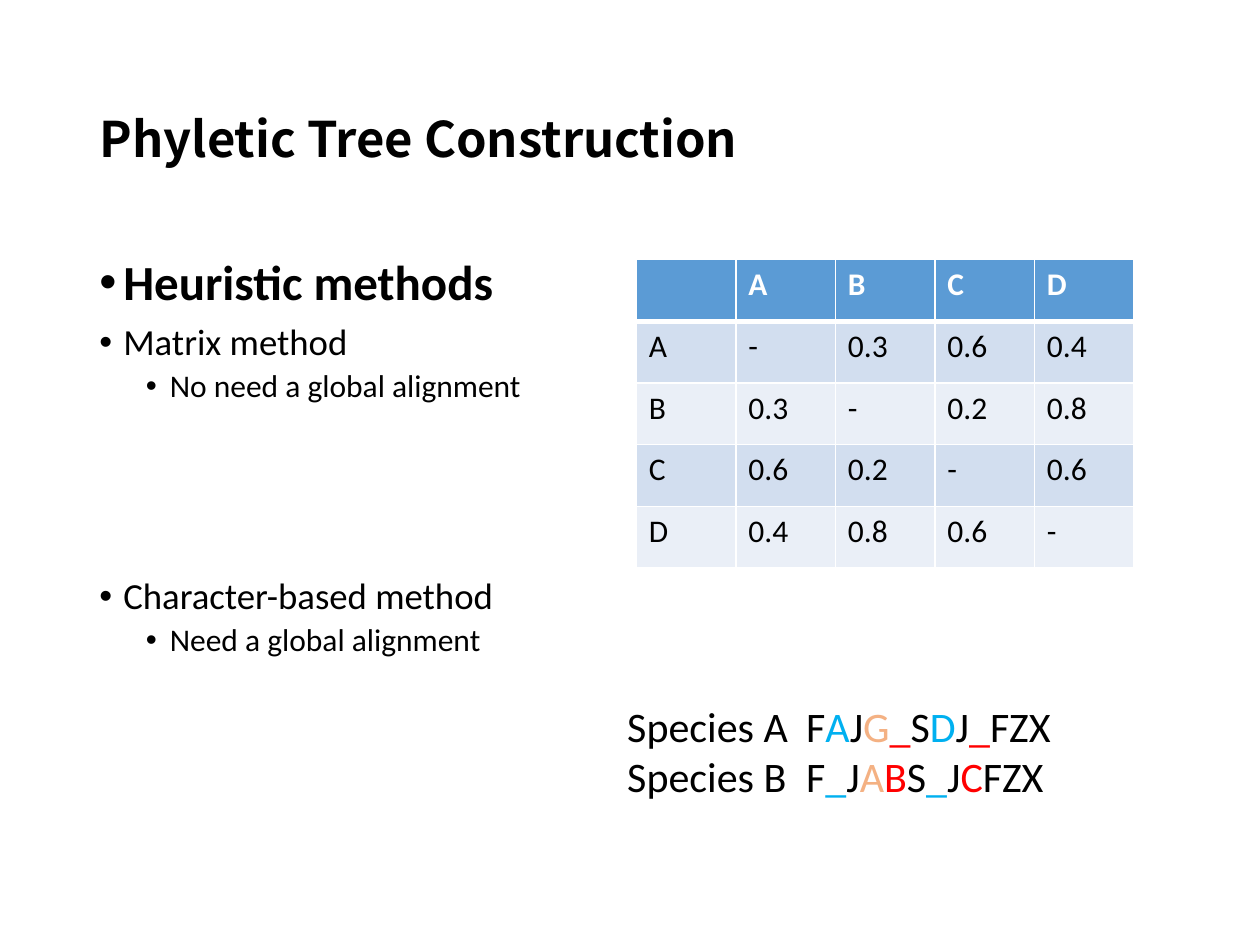
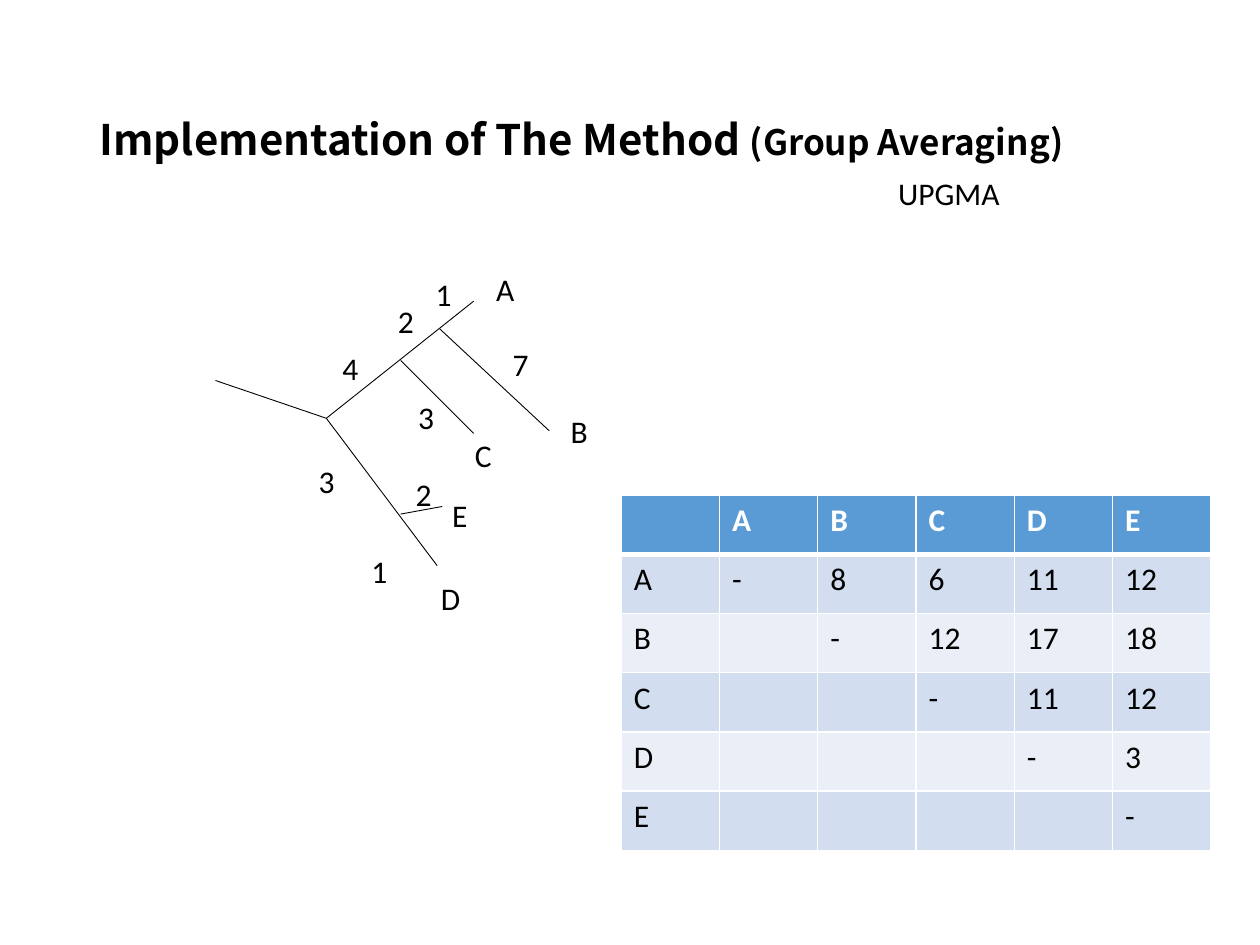
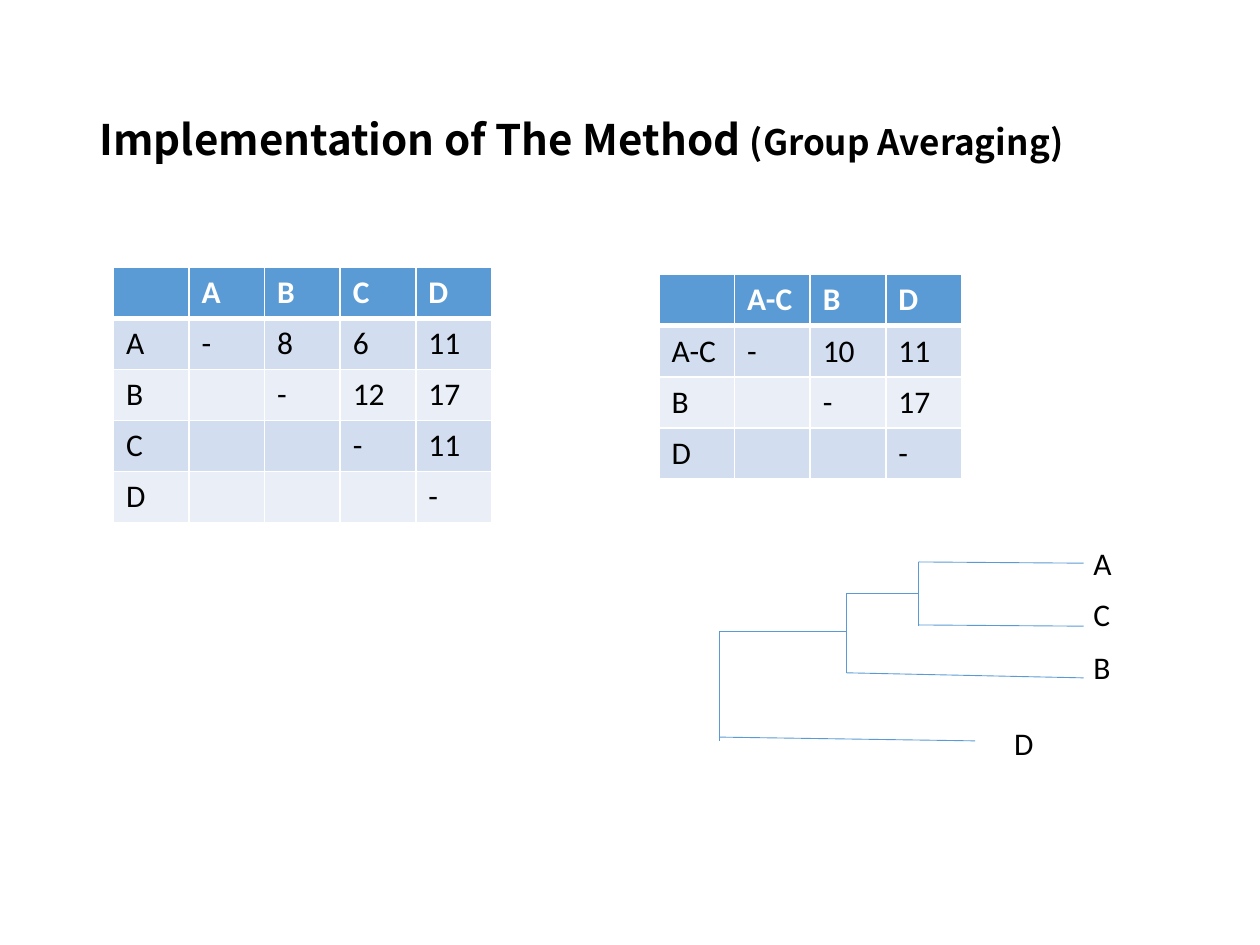
from pptx import Presentation
from pptx.dml.color import RGBColor
from pptx.enum.shapes import MSO_CONNECTOR
from pptx.enum.text import MSO_ANCHOR, MSO_AUTO_SIZE, PP_ALIGN
from pptx.oxml import parse_xml
from pptx.oxml.ns import nsdecls
from pptx.util import Inches, Pt

FONT, HEAD = "Calibri", "Noto Sans CJK KR"
BLACK, WHITE, BLUE = "000000", "FFFFFF", "5B9BD5"
SKY, PEACH, RED = "00B0F0", "F4B183", "FF0000"
BANDS = ("D2DEEF", "EAEFF7")

METHOD = [("Implementation of The Method ", 24), ("(Group Averaging)", 20)]

# text, level, size, bold, space before
POINTS = [
    ("Heuristic methods", 0, 28, True, 0),
    ("Matrix method", 0, 21, False, 7.5),
    ("No need a global alignment", 1, 18, False, 3.8),
    ("Character-based method", 0, 21, False, 99),
    ("Need a global alignment", 1, 18, False, 3.8),
]
SPECIES = [[("Species A", BLACK)], [("Species B", BLACK)]]
ALIGNED = [
    [("F", BLACK), ("A", SKY), ("J", BLACK), ("G", PEACH), ("_", RED),
     ("S", BLACK), ("D", SKY), ("J", BLACK), ("_", RED), ("FZX", BLACK)],
    [("F", BLACK), ("_", SKY), ("J", BLACK), ("A", PEACH), ("B", RED),
     ("S", BLACK), ("_", SKY), ("J", BLACK), ("C", RED), ("FZX", BLACK)],
]

# Each row is a name and its distances, up to the last column
FULL = ["A - 0.3 0.6 0.4", "B 0.3 - 0.2 0.8", "C 0.6 0.2 - 0.6", "D 0.4 0.8 0.6 -"]
FIVE = ["A - 8 6 11 12", "B - 12 17 18", "C - 11 12", "D - 3", "E -"]
FOUR = ["A - 8 6 11", "B - 12 17", "C - 11", "D -"]
MERGED = ["A-C - 10 11", "B - 17", "D -"]

ROOT, FORK_C, FORK_B, FORK_E = (2.59, 3.32), (3.18, 2.86), (3.49, 2.61), (3.18, 4.08)
TREE = [
    ((1.71, 3.02), ROOT), (ROOT, (3.76, 2.39)), (ROOT, (3.47, 4.49)),
    (FORK_C, (3.76, 3.44)), (FORK_B, (4.36, 3.42)), (FORK_E, (3.51, 4.02)),
]
TREE_TAGS = [
    ("A", 3.84, 2.09), ("B", 4.43, 3.22), ("C", 3.67, 3.41), ("D", 3.4, 4.55),
    ("E", 3.49, 3.89), ("4", 2.62, 2.72), ("1", 3.36, 2.13), ("2", 3.06, 2.35),
    ("7", 3.97, 2.69), ("3", 3.22, 3.11), ("3", 2.43, 3.62), ("1", 2.85, 4.33),
    ("2", 3.2, 3.72),
]

X_AC, X_B, X_D, TIP = 7.29, 6.72, 5.71, 8.6
CLUSTER = [
    ((X_B, 5.34), (TIP, 5.38)), ((X_AC, 4.46), (TIP, 4.47)),
    ((X_AC, 4.96), (TIP, 4.97)), ((X_AC, 4.46), (X_AC, 4.97)),
    ((X_B, 4.71), (X_AC, 4.71)), ((X_B, 4.71), (X_B, 5.34)),
    ((X_D, 5.85), (7.74, 5.88)), ((X_D, 5.01), (X_B, 5.01)),
    ((X_D, 5.02), (X_D, 5.88)),
]
CLUSTER_TAGS = [("A", 8.58, 4.27), ("C", 8.58, 4.67), ("B", 8.58, 5.09), ("D", 7.95, 5.7)]


def rgb(code):
    return RGBColor.from_string(code)


def add_run(para, text, size, color=BLACK, bold=False, face=FONT):
    run = para.add_run()
    run.text = text
    font = run.font
    font.name, font.size, font.bold = face, Pt(size), bold
    font.color.rgb = rgb(color)


def add_slide(deck, title):
    slide = deck.slides.add_slide(deck.slide_layouts[5])
    box = slide.shapes.title
    box.left, box.top = Inches(0.69), Inches(0.4)
    box.width, box.height = Inches(8.62), Inches(1.45)
    frame = box.text_frame
    frame.auto_size = MSO_AUTO_SIZE.NONE
    frame.vertical_anchor = MSO_ANCHOR.MIDDLE
    para = frame.paragraphs[0]
    para.alignment, para.line_spacing = PP_ALIGN.LEFT, 0.9
    for text, size in title:
        add_run(para, text, size, bold=True, face=HEAD)
    return slide


def add_frame(slide, left, top, width, height):
    box = slide.shapes.add_textbox(*map(Inches, (left, top, width, height)))
    box.text_frame.word_wrap = True
    return box.text_frame


def add_paras(frame, count):
    return [frame.paragraphs[0]] + [frame.add_paragraph() for _ in range(count - 1)]


def add_text(slide, lines, left, top, width, height=0.4, size=18):
    """Add a box of lines, each a list of (text, colour) runs."""
    frame = add_frame(slide, left, top, width, height)
    for para, line in zip(add_paras(frame, len(lines)), lines):
        for text, color in line:
            add_run(para, text, size, color)


def add_tags(slide, tags, width):
    for text, left, top in tags:
        add_text(slide, [[(text, BLACK)]], left, top, width)


def add_points(slide):
    frame = add_frame(slide, 0.69, 2, 8.62, 4.76)
    paras = add_paras(frame, len(POINTS))
    for para, (text, level, size, bold, gap) in zip(paras, POINTS):
        para.level = level
        props = para._p.get_or_add_pPr()
        props.set("marL", str(Inches(0.56 if level else 0.19)))
        props.set("indent", str(Inches(-0.19)))
        props.append(parse_xml(f'<a:buFont {nsdecls("a")} typeface="Arial"/>'))
        props.append(parse_xml(f'<a:buChar {nsdecls("a")} char="•"/>'))
        para.line_spacing, para.space_before = 0.9, Pt(gap)
        add_run(para, text, size, bold=bold)


def add_lines(slide, pairs, color):
    for start, end in pairs:
        line = slide.shapes.add_connector(
            MSO_CONNECTOR.STRAIGHT, *map(Inches, start + end))
        line.line.color.rgb, line.line.width = rgb(color), Pt(0.5)
        line._element.spPr.append(parse_xml(f'<a:effectLst {nsdecls("a")}/>'))


def set_edges(cell, row):
    """Draw white borders, thicker between the header and the first row."""
    props = cell._tc.get_or_add_tcPr()
    widths = {"L": 1, "R": 1, "T": 3 if row == 1 else 1, "B": 3 if row == 0 else 1}
    for spot, (side, width) in enumerate(widths.items()):
        props.insert(spot, parse_xml(
            f'<a:ln{side} {nsdecls("a")} w="{Pt(width)}"><a:solidFill>'
            f'<a:srgbClr val="{WHITE}"/></a:solidFill></a:ln{side}>'))


def add_matrix(slide, rows, left, top, wide, high):
    """Add a distance table whose short rows are filled from the right."""
    rows = [row.split() for row in rows]
    grid = [[""] + [row[0] for row in rows]]
    for name, *values in rows:
        grid.append([name] + [""] * (len(rows) - len(values)) + values)
    size = len(grid)
    table = slide.shapes.add_table(
        size, size, Inches(left), Inches(top),
        Inches(wide * size), Inches(high * size)).table
    for r, line in enumerate(grid):
        for c, text in enumerate(line):
            cell = table.cell(r, c)
            cell.fill.solid()
            cell.fill.fore_color.rgb = rgb(BANDS[(r - 1) % 2] if r else BLUE)
            set_edges(cell, r)
            if text:
                add_run(cell.text_frame.paragraphs[0], text, 18,
                        BLACK if r else WHITE, bold=r == 0)


def main():
    deck = Presentation()
    deck.slide_width, deck.slide_height = Inches(10), Inches(7.5)

    slide = add_slide(deck, [("Phyletic Tree Construction", 28)])
    add_points(slide)
    add_text(slide, ALIGNED, 6.3, 5.51, 3.7, 0.91, 24)
    add_matrix(slide, FULL, 5.05, 2.06, 0.79, 0.49)
    add_text(slide, SPECIES, 4.88, 5.51, 1.66, 0.91, 24)

    slide = add_slide(deck, METHOD)
    add_lines(slide, TREE, BLACK)
    add_matrix(slide, FIVE, 4.93, 3.93, 0.78, 0.47)
    add_tags(slide, TREE_TAGS, 0.44)
    add_text(slide, [[("UPGMA", BLACK)]], 7.03, 1.33, 2.97)

    slide = add_slide(deck, METHOD)
    add_matrix(slide, FOUR, 0.9, 2.12, 0.6, 0.39)
    add_matrix(slide, MERGED, 5.23, 2.18, 0.6, 0.39)
    add_lines(slide, CLUSTER, BLUE)
    add_tags(slide, CLUSTER_TAGS, 0.56)

    deck.save("out.pptx")


if __name__ == "__main__":
    main()
